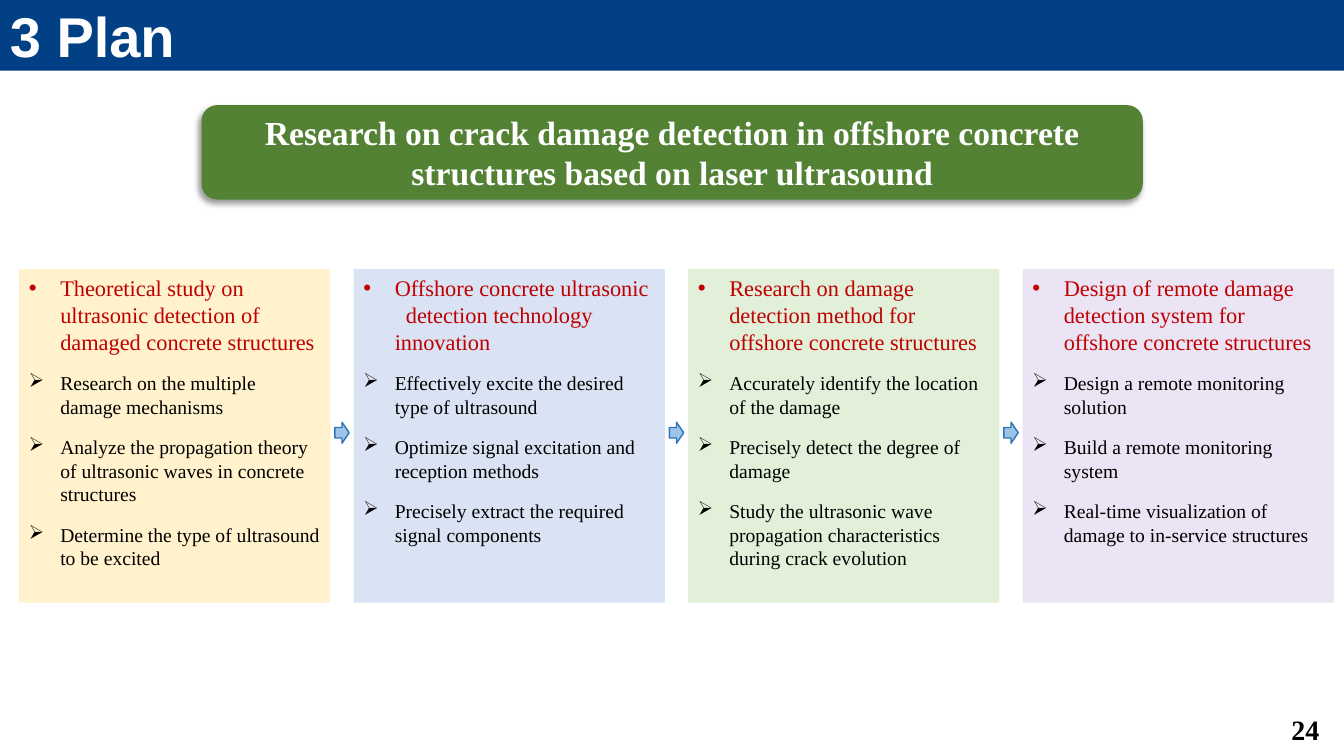
from dataclasses import dataclass

from lxml import etree
from pptx import Presentation
from pptx import util as u
from pptx.dml.color import RGBColor
from pptx.enum import shapes, text
from pptx.oxml import ns

NAVY = RGBColor(0x01, 0x40, 0x85)
GREEN = RGBColor(0x54, 0x82, 0x35)
CRIMSON = RGBColor(0xC0, 0x00, 0x00)
BLACK = RGBColor(0x00, 0x00, 0x00)
WHITE = RGBColor(0xFF, 0xFF, 0xFF)
SKY = RGBColor(0x9D, 0xC3, 0xE6)
BLUE = RGBColor(0x2E, 0x75, 0xB6)
CREAM = RGBColor(0xFF, 0xF2, 0xCC)
PALE_BLUE = RGBColor(0xDA, 0xE3, 0xF3)
PALE_GREEN = RGBColor(0xE2, 0xF0, 0xD9)
LILAC = RGBColor(0xEB, 0xE4, 0xF4)

SERIF = "Times New Roman"
SLIDE_WIDTH, SLIDE_HEIGHT = u.Cm(33.87), u.Cm(19.05)
STAGE_LEFT, STAGE_TOP = u.Cm(0.48), u.Cm(6.78)
STAGE_WIDTH, STAGE_HEIGHT = u.Cm(7.85), u.Cm(8.41)
STAGE_PITCH = u.Cm(8.43)
ARROW_WIDTH, ARROW_HEIGHT = u.Cm(0.36), u.Cm(0.53)
ARROW_TOP = u.Cm(10.64)
HANGING = u.Cm(0.79)


@dataclass(frozen=True)
class Stage:
    fill: RGBColor
    heading: str
    tasks: tuple[str, ...]
    heading_rest: str = ""  # second heading line, slightly indented


STAGES = (
    Stage(CREAM, "Theoretical study on ultrasonic detection of damaged concrete structures",
          ("Research on the multiple damage mechanisms",
           "Analyze the propagation theory of ultrasonic waves in concrete structures",
           "Determine the type of ultrasound to be excited")),
    Stage(PALE_BLUE, "Offshore concrete ultrasonic",
          ("Effectively excite the desired type of ultrasound",
           "Optimize signal excitation and reception methods",
           "Precisely extract the required signal components"),
          "detection technology innovation"),
    Stage(PALE_GREEN, "Research on damage detection method for offshore concrete structures",
          ("Accurately identify the location of the damage",
           "Precisely detect the degree of damage",
           "Study the ultrasonic wave propagation characteristics during crack evolution")),
    Stage(LILAC, "Design of remote damage detection system for offshore concrete structures",
          ("Design a remote monitoring solution",
           "Build a remote monitoring system",
           "Real-time visualization of damage to in-service structures")),
)


def add_block(slide, kind, left: int, top: int, width: int, height: int, fill: RGBColor):
    shape = slide.shapes.add_shape(kind, left, top, width, height)
    shape.shadow.inherit = False
    shape.fill.solid()
    shape.fill.fore_color.rgb = fill
    shape.line.fill.background()
    return shape


def style(paragraph, size: int, color: RGBColor, bold: bool = False, name: str = SERIF) -> None:
    paragraph.font.size = u.Pt(size)
    paragraph.font.name = name
    paragraph.font.bold = bold
    paragraph.font.color.rgb = color


def write_line(shape, words: str, align, size: int, color: RGBColor, name: str = SERIF) -> None:
    frame = shape.text_frame
    frame.word_wrap = True
    frame.vertical_anchor = text.MSO_ANCHOR.MIDDLE
    paragraph = frame.paragraphs[0]
    paragraph.text = words
    paragraph.alignment = align
    style(paragraph, size, color, True, name)


def add_item(frame, words: str, size: int, color: RGBColor, bullet: str = "",
             before: int = 0, indent: int = -HANGING) -> None:
    paragraph = frame.paragraphs[0] if not frame.text else frame.add_paragraph()
    paragraph.text = words
    paragraph.alignment = text.PP_ALIGN.LEFT
    paragraph.space_before = u.Pt(before)
    properties = paragraph._p.get_or_add_pPr()
    properties.set("marL", str(HANGING))
    properties.set("indent", str(indent))
    if bullet:
        font = etree.SubElement(properties, ns.qn("a:buFont"))
        font.set("typeface", "Arial" if bullet == "•" else "Wingdings")
        mark = etree.SubElement(properties, ns.qn("a:buChar"))
        mark.set("char", bullet if bullet == "•" else "Ø")
    else:
        etree.SubElement(properties, ns.qn("a:buNone"))
    style(paragraph, size, color)


def add_shadow(shape) -> None:
    effects = shape._element.spPr.find(ns.qn("a:effectLst"))
    shadow = etree.SubElement(effects, ns.qn("a:outerShdw"), blurRad=str(u.Pt(4)),
                              dist=str(u.Pt(3)), dir="8100000", algn="tr", rotWithShape="0")
    color = etree.SubElement(shadow, ns.qn("a:srgbClr"), val="000000")
    etree.SubElement(color, ns.qn("a:alpha"), val="40000")


def add_stage(slide, stage: Stage, left: int) -> None:
    panel = add_block(slide, shapes.MSO_SHAPE.RECTANGLE, left, STAGE_TOP,
                      STAGE_WIDTH, STAGE_HEIGHT, stage.fill)
    frame = panel.text_frame
    frame.word_wrap = True
    frame.vertical_anchor = text.MSO_ANCHOR.TOP
    add_item(frame, stage.heading, 16, CRIMSON, "•")
    if stage.heading_rest:
        add_item(frame, stage.heading_rest, 16, CRIMSON, indent=u.Cm(0.28))
    for task in stage.tasks:
        add_item(frame, task, 14, BLACK, "➢", before=12)


def add_arrow(slide, left: int) -> None:
    arrow = add_block(slide, shapes.MSO_SHAPE.RIGHT_ARROW, left, ARROW_TOP,
                      ARROW_WIDTH, ARROW_HEIGHT, SKY)
    arrow.line.color.rgb = BLUE
    arrow.line.width = u.Pt(1)


def main() -> None:
    presentation = Presentation()
    presentation.slide_width, presentation.slide_height = SLIDE_WIDTH, SLIDE_HEIGHT
    slide = presentation.slides.add_slide(presentation.slide_layouts[6])

    # Title bar
    bar = add_block(slide, shapes.MSO_SHAPE.RECTANGLE, 0, 0, SLIDE_WIDTH, u.Cm(1.78), NAVY)
    write_line(bar, "3 Plan", text.PP_ALIGN.LEFT, 40, WHITE, "Arial")

    # Research topic
    topic = add_block(slide, shapes.MSO_SHAPE.ROUNDED_RECTANGLE,
                      u.Cm(5.08), u.Cm(2.65), u.Cm(23.72), u.Cm(2.38), GREEN)
    add_shadow(topic)
    write_line(topic, "Research on crack damage detection in offshore concrete "
               "structures based on laser ultrasound", text.PP_ALIGN.CENTER, 24, WHITE)

    # Page number
    number = slide.shapes.add_textbox(u.Cm(25.88), u.Cm(17.86), u.Cm(7.62), u.Cm(1.02))
    write_line(number, "24", text.PP_ALIGN.RIGHT, 20, BLACK)

    # Stages, with an arrow centred in each gap
    gap = STAGE_PITCH - STAGE_WIDTH
    for index, stage in enumerate(STAGES):
        left = STAGE_LEFT + index * STAGE_PITCH
        add_stage(slide, stage, left)
        if index:
            add_arrow(slide, left - (gap + ARROW_WIDTH) // 2)

    presentation.save("out.pptx")


if __name__ == "__main__":
    main()
